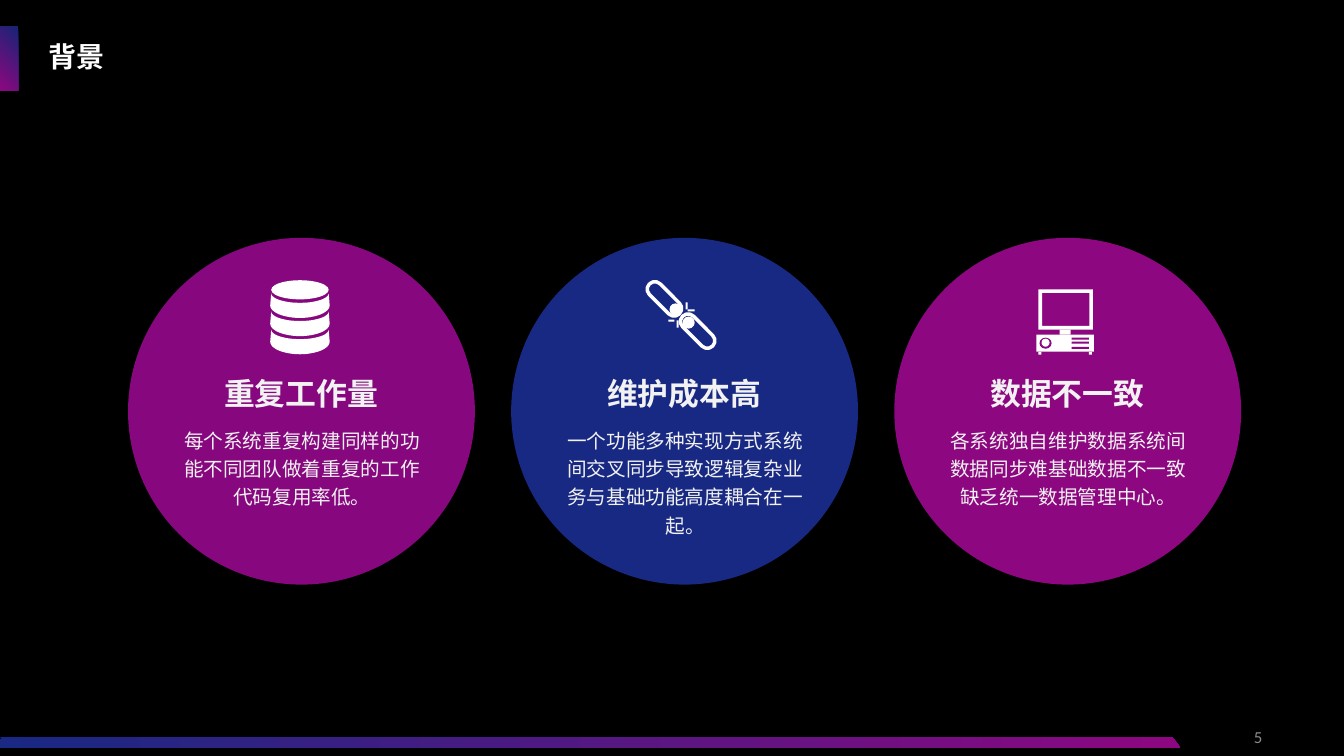
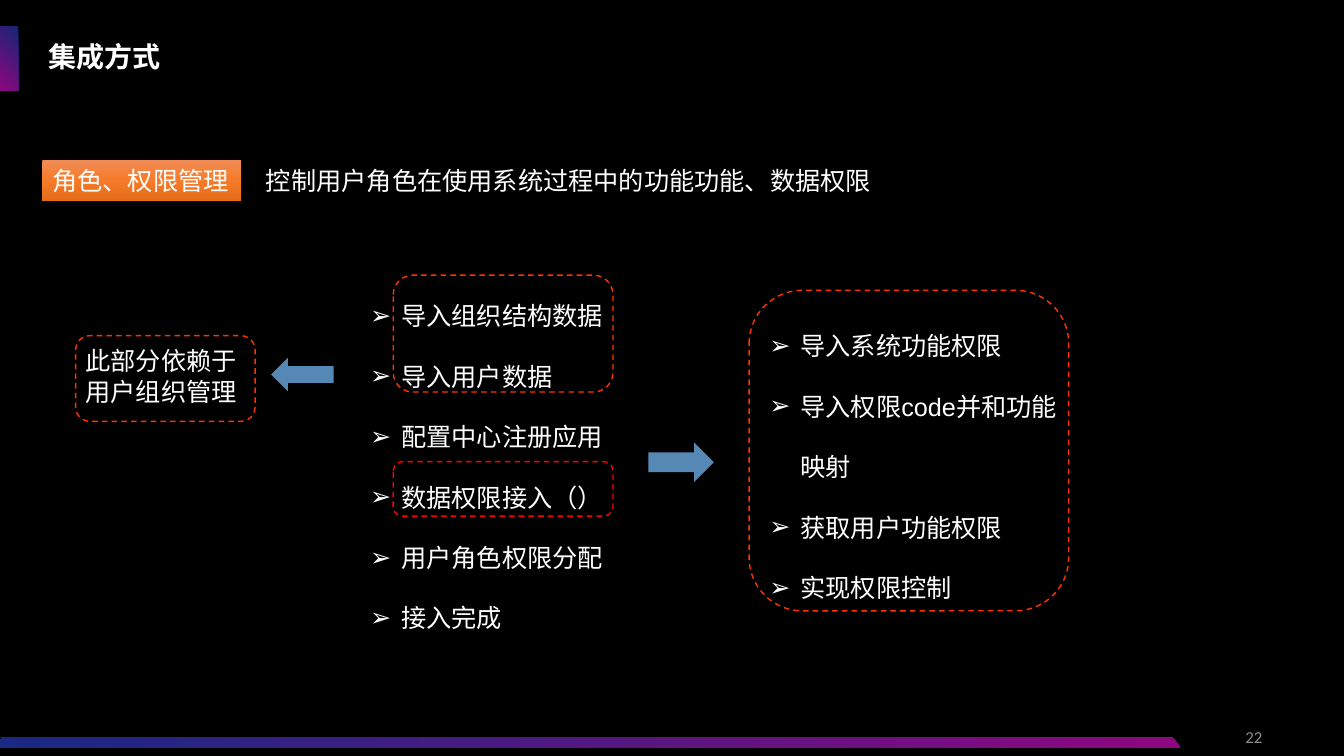
"""Build a two-page dark deck: project background and integration method."""
from math import cos, pi, sin

from lxml.etree import SubElement
from pptx import Presentation
from pptx.dml.color import RGBColor
from pptx.enum.dml import MSO_LINE
from pptx.enum.shapes import MSO_SHAPE as SHAPE
from pptx.enum.text import MSO_ANCHOR as ANCHOR, MSO_AUTO_SIZE as AUTO, PP_ALIGN as ALIGN
from pptx.oxml.ns import qn
from pptx.util import Pt

PX = 9144
CJK = "Noto Sans CJK SC"
COLORS = {
    "black": "000000", "white": "FFFFFF", "pale": "F2F2F2", "gray": "8C8C8C",
    "navy": "182983", "deep navy": "162575", "edge navy": "1A2983",
    "plum": "87077F", "magenta": "8D0780", "steel": "5688B6",
    "red": "FF0000", "orange red": "FF3300",
    "orange light": "F18C57", "orange": "F67B28", "orange dark": "E56C19",
}


def draw(page, kind, place, fill=None, stops=None, angle=0, line=None, weight=1, dash=None):
    shape = page.shapes.add_shape(kind, *[length * PX for length in place])
    shape.shadow.inherit = False
    if stops:
        shape.fill.gradient()
        shape.fill.gradient_angle = angle
        stop_list = next(shape.element.iter(qn("a:gsLst")))
        stop_list.clear()
        for position, color in stops:
            stop = SubElement(stop_list, qn("a:gs"), pos=str(position * 1000))
            SubElement(stop, qn("a:srgbClr"), val=COLORS[color])
    elif fill:
        shape.fill.solid()
        shape.fill.fore_color.rgb = RGBColor.from_string(COLORS[fill])
    else:
        shape.fill.background()
    if line:
        shape.line.color.rgb = RGBColor.from_string(COLORS[line])
        shape.line.width = Pt(weight)
        shape.line.dash_style = dash
    else:
        shape.line.fill.background()
    return shape


def write_text(frame, lines, size, face="Arial", color="white", bold=False, bullet=None,
               wrap=True, anchor=ANCHOR.TOP, fit=AUTO.SHAPE_TO_FIT_TEXT, **para_format):
    frame.text = "\n".join(lines)
    frame.word_wrap = wrap
    frame.auto_size = fit
    frame.vertical_anchor = anchor
    for para in frame.paragraphs:
        for name, value in {"alignment": ALIGN.LEFT, "space_before": Pt(0), **para_format}.items():
            setattr(para, name, value)
        if bullet:
            props = para._p.get_or_add_pPr()
            props.set("marL", str(31 * PX))
            props.set("indent", str(-31 * PX))
            SubElement(props, qn("a:buFont"), typeface="Arial")
            SubElement(props, qn("a:buChar"), char=bullet)
        for span in para.runs:
            for name, value in {"size": Pt(size), "name": face, "bold": bold}.items():
                setattr(span.font, name, value)
            span.font.color.rgb = RGBColor.from_string(COLORS[color])
            SubElement(span._r.get_or_add_rPr(), qn("a:ea"), typeface=CJK)


deck = Presentation()
deck.slide_width, deck.slide_height = 1333 * PX, 750 * PX
master = deck.slide_master
master.background.fill.solid()
master.background.fill.fore_color.rgb = RGBColor.from_string(COLORS["black"])

pages = []
for layout_index, title, number in [(5, "背景", "5"), (3, "集成方式", "22")]:
    page = deck.slides.add_slide(deck.slide_layouts[layout_index])
    heading = page.shapes.title
    for name, length in {"left": 38, "top": 26, "width": 1110, "height": 63}.items():
        setattr(heading, name, length * PX)
    write_text(heading.text_frame, [title], 20, CJK, bold=True, anchor=ANCHOR.MIDDLE,
               fit=AUTO.NONE, line_spacing=0.9)
    number_box = page.shapes.add_textbox(962 * PX, 711 * PX, 300 * PX, 40 * PX)
    write_text(number_box.text_frame, [number], 12, "Calibri", "gray", anchor=ANCHOR.MIDDLE,
               fit=AUTO.NONE, alignment=ALIGN.RIGHT)
    pages.append(page)
background_page, method_page = pages

title_band = draw(background_page, SHAPE.RECTANGLE, (0, 26, 18, 64),
                  stops=[(0, "deep navy"), (100, "magenta")], angle=225)
footer_band = draw(background_page, SHAPE.PARALLELOGRAM, (0, 731, 1171, 11),
                   stops=[(0, "navy"), (100, "magenta")], angle=180)
footer_band.adjustments[0] = 0.78
next(footer_band.element.iter(qn("a:xfrm"))).set("flipH", "1")
footer_edge = draw(background_page, SHAPE.RECTANGLE, (0, 733, 19, 9), "edge navy")
for shape_id, band in enumerate([title_band, footer_band, footer_edge], 20):
    next(band.element.iter(qn("p:cNvPr"))).set("id", str(shape_id))
    master.shapes.element.append(band.element)

topics = [
    ("plum", "重复工作量", ["每个系统重复构建同样的功能不同团队做着重复的工作", "代码复用率低。"]),
    ("navy", "维护成本高",
     ["一个功能多种实现方式系统间交叉同步导致逻辑复杂业务与基础功能高度耦合在一起。"]),
    ("magenta", "数据不一致",
     ["各系统独自维护数据系统间数据同步难基础数据不一致", "缺乏统一数据管理中心。"]),
]
for column, (color, name, details) in enumerate(topics):
    left = 127 + 380 * column
    draw(background_page, SHAPE.OVAL, (left, 236, 344, 344), color)
    name_box = background_page.shapes.add_textbox((left + 7) * PX, 367 * PX, 329 * PX, 47 * PX)
    write_text(name_box.text_frame, [name], 22, CJK, "pale", True, alignment=ALIGN.CENTER)
    detail_box = background_page.shapes.add_textbox((left + 38) * PX, 416 * PX, 269 * PX, 95 * PX)
    write_text(detail_box.text_frame, details, 14, CJK, "pale",
               alignment=ALIGN.CENTER, line_spacing=1.2)

draw(background_page, SHAPE.OVAL, (269, 278, 57, 19), "white")
half_turn = [pi * step / 24 for step in range(25)]
for top in (2910, 3090, 3270):
    upper_arc = [(2975 + 285 * cos(turn), top + 95 * sin(turn)) for turn in half_turn]
    lower_arc = [(2975 - 295 * cos(turn), top + 120 + 125 * sin(turn)) for turn in half_turn]
    outline = background_page.shapes.build_freeform(*upper_arc[0], scale=PX / 10)
    outline.add_line_segments(upper_arc[1:] + lower_arc)
    disk = outline.convert_to_shape()
    disk.shadow.inherit = False
    disk.fill.solid()
    disk.fill.fore_color.rgb = RGBColor.from_string(COLORS["white"])
    disk.line.fill.background()

for place in [(638, 289, 42, 15), (671, 321, 42, 15)]:
    link = draw(background_page, SHAPE.ROUNDED_RECTANGLE, place, line="white", weight=2.5)
    link.adjustments[0] = 0.5
    link.rotation = 45
for place in [(664, 301, 12, 12), (677, 314, 12, 12)]:
    draw(background_page, SHAPE.OVAL, place, "white")
for place in [(680, 300, 2, 7), (682, 307, 7, 2), (671, 318, 2, 7), (663, 317, 6, 2)]:
    draw(background_page, SHAPE.RECTANGLE, place, "white")

screen = draw(background_page, SHAPE.FRAME, (1030, 287, 54, 40), "white")
screen.adjustments[0] = 0.09
for place in [(1051, 327, 11, 5), (1028, 332, 57, 17), (1030, 349, 3, 3), (1080, 349, 3, 3)]:
    draw(background_page, SHAPE.RECTANGLE, place, "white")
for top in (335, 339, 344):
    draw(background_page, SHAPE.RECTANGLE, (1063, top, 17, 2), "magenta")
draw(background_page, SHAPE.OVAL, (1031, 335, 12, 11), "magenta")
draw(background_page, SHAPE.OVAL, (1033, 336, 8, 8), "white")

tag = draw(method_page, SHAPE.RECTANGLE, (42, 159, 197, 40), angle=270,
           stops=[(0, "orange light"), (50, "orange"), (100, "orange dark")])
write_text(tag.text_frame, ["角色、权限管理"], 18, "Calibri", wrap=False)

step_lists = [
    ((357, 263, 280, 373),
     ["导入组织结构数据", "导入用户数据", "配置中心注册应用", "数据权限接入（）",
      "用户角色权限分配", "接入完成"]),
    ((753, 293, 306, 313),
     ["导入系统功能权限", "导入权限code并和功能映射", "获取用户功能权限", "实现权限控制"]),
]
for index, (place, steps) in enumerate(step_lists, 1):
    body = method_page.placeholders[index]
    for name, length in zip(("left", "top", "width", "height"), place):
        setattr(body, name, length * PX)
    write_text(body.text_frame, steps, 18, bullet="➢", line_spacing=2.0)

notes = [
    ((75, 338, 178, 71), True, ["此部分依赖于", "用户组织管理"]),
    ((254, 159, 626, 40), False, ["控制用户角色在使用系统过程中的功能功能、数据权限"]),
]
for place, wrap, lines in notes:
    box = method_page.shapes.add_textbox(*[length * PX for length in place])
    write_text(box.text_frame, lines, 18, wrap=wrap)

for place, color in [((390, 458, 218, 54), "red"), ((390, 273, 218, 116), "orange red"),
                     ((75, 333, 178, 85), "orange red"), ((743, 288, 317, 318), "orange red")]:
    draw(method_page, SHAPE.ROUNDED_RECTANGLE, place, line=color, dash=MSO_LINE.DASH)
for place, turn in [((643, 439, 65, 39), 0), ((269, 355, 62, 33), 180)]:
    arrow = draw(method_page, SHAPE.RIGHT_ARROW, place, "steel")
    arrow.rotation = turn

deck.save("out.pptx")
